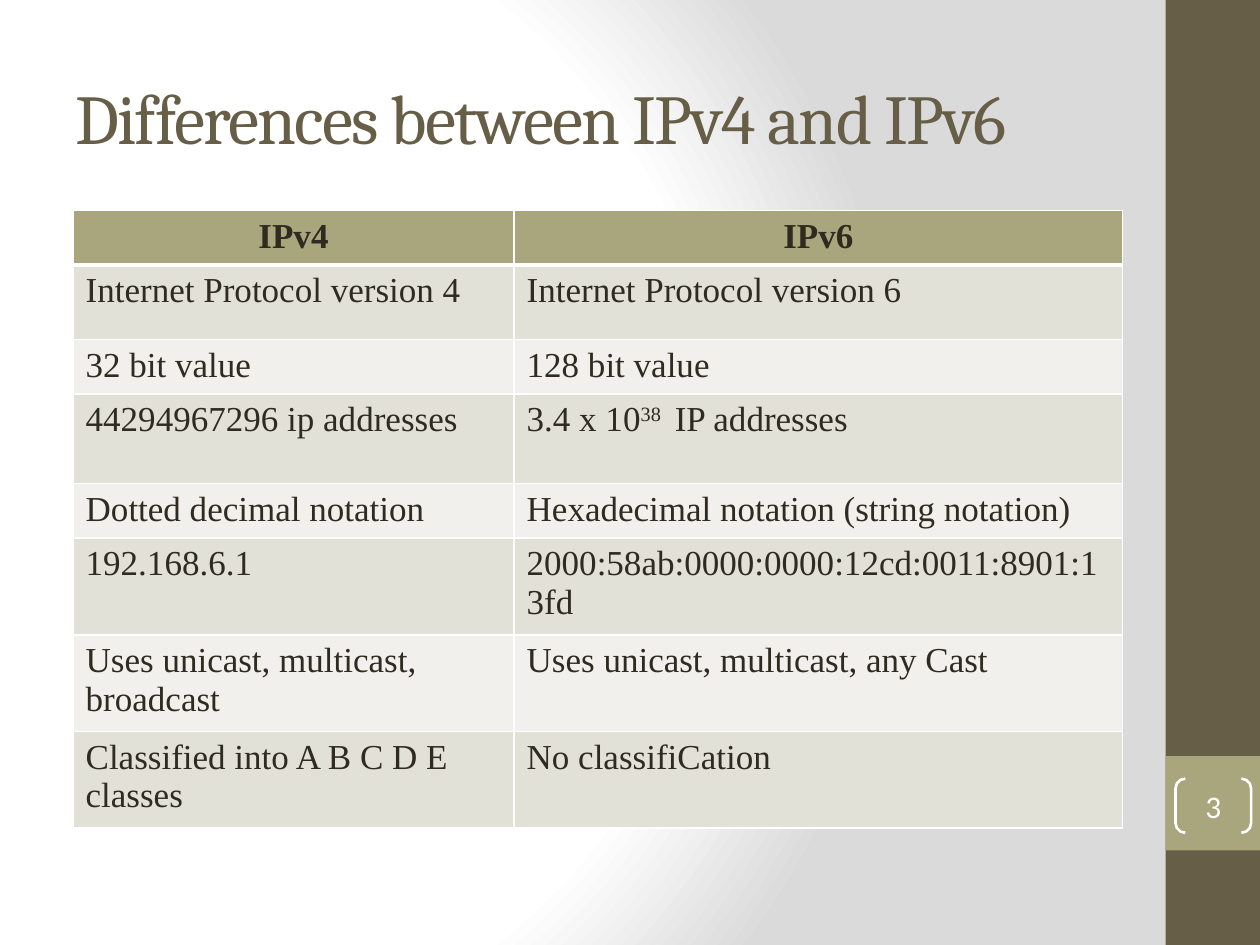
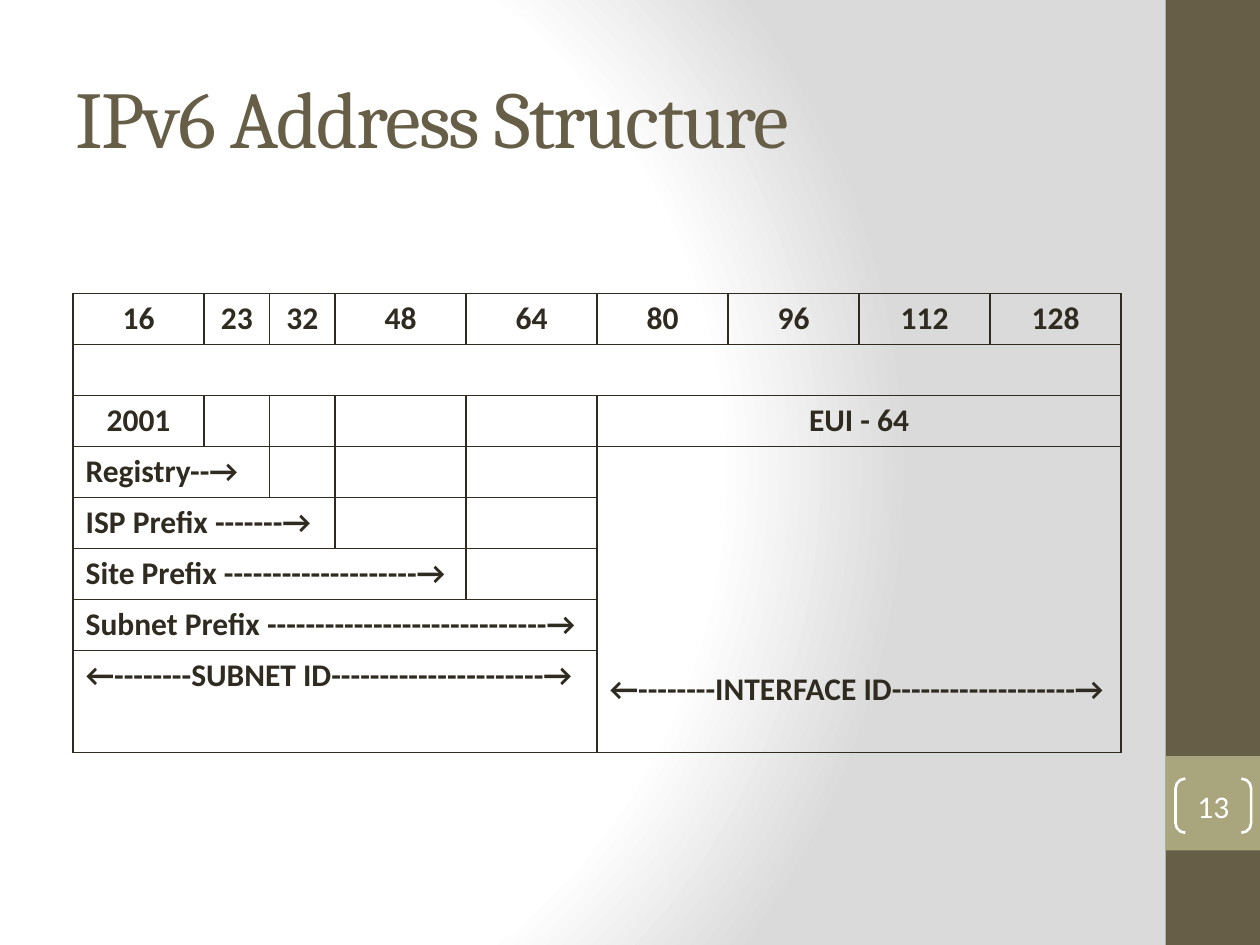
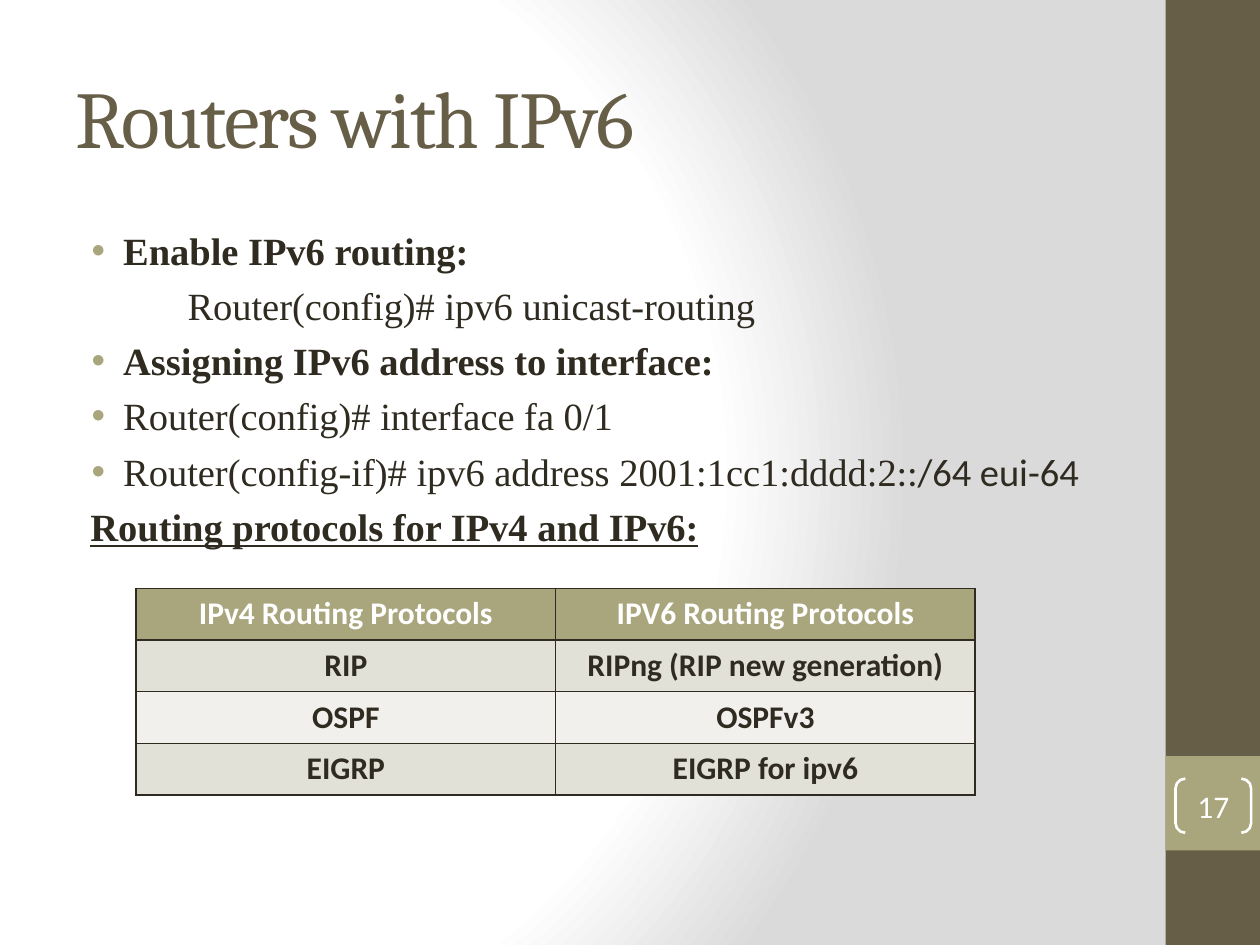
from lxml import etree
from pptx import Presentation
from pptx.dml.color import RGBColor
from pptx.enum import shapes, text
from pptx.oxml import parse_xml
from pptx.oxml.ns import nsdecls, qn
from pptx.util import Inches, Pt

WHITE = RGBColor(0xFF, 0xFF, 0xFF)
GREY = RGBColor(0xDA, 0xDA, 0xDA)
BROWN = RGBColor(0x67, 0x5E, 0x47)
OLIVE = RGBColor(0xA9, 0xA5, 0x7C)
INK = RGBColor(0x2F, 0x2B, 0x20)
BAND = RGBColor(0xE2, 0xE1, 0xD7)
PALE = RGBColor(0xF1, 0xF0, 0xEC)
SERIF = "Times New Roman"
SANS = "Calibri"
CENTER = text.PP_ALIGN.CENTER
MIDDLE = text.MSO_ANCHOR.MIDDLE


def write(paragraph, words, size=18, font=SANS, color=INK, bold=False,
          underline=False, align=None, **attributes):
    run = paragraph.add_run()
    run.text = words
    run.font.size = Pt(size)
    run.font.name = font
    run.font.color.rgb = color
    run.font.bold = bold
    if underline:
        run.font.underline = True
    if align is not None:
        paragraph.alignment = align
    for key, value in attributes.items():
        run.font._element.set(key, str(value))


def paint(cell, fill, border, top=1, bottom=1):
    if fill is None:
        cell.fill.background()
    else:
        cell.fill.solid()
        cell.fill.fore_color.rgb = fill
    sides = [("lnL", 1), ("lnR", 1), ("lnT", top), ("lnB", bottom)]
    for place, (side, width) in enumerate(sides):
        edge = parse_xml(
            f'<a:{side} {nsdecls("a")} w="{Pt(width)}"><a:solidFill>'
            f'<a:srgbClr val="{border}"/></a:solidFill></a:{side}>')
        cell._tc.get_or_add_tcPr().insert(place, edge)


deck = Presentation()
deck.slide_width = Inches(10)
deck.slide_height = Inches(7.5)

master = deck.slide_master
master.background.fill.gradient()
plain = master.element.xpath(".//p:bg//a:gradFill")[0]
stops = "".join(
    f'<a:gs pos="{place * 1000}"><a:srgbClr val="{color}"/></a:gs>'
    for place, color in [(0, WHITE), (75, WHITE), (100, GREY)])
glow = parse_xml(
    f'<a:gradFill {nsdecls("a")} rotWithShape="1"><a:gsLst>{stops}</a:gsLst>'
    '<a:path path="circle"><a:fillToRect l="20000" t="50000" r="100000" b="50000"/>'
    '</a:path></a:gradFill>')
plain.getparent().replace(plain, glow)

pages = []
for heading, heading_size, number in [
    ("Differences between IPv4 and IPv6", 40, "3"),
    ("IPv6 Address Structure", 46, "13"),
    ("Routers with IPv6", 46, "17"),
]:
    page = deck.slides.add_slide(deck.slide_layouts[6])
    pages.append(page)
    for top, height, color in [(0, 7.5, BROWN), (6, 0.75, OLIVE)]:
        band = page.shapes.add_shape(
            shapes.MSO_SHAPE.RECTANGLE, Inches(9.25), Inches(top), Inches(0.75), Inches(height))
        band.shadow.inherit = False
        band.fill.solid()
        band.fill.fore_color.rgb = color
        band.line.fill.background()

    title = page.shapes.add_textbox(Inches(0.5), Inches(0.3), Inches(8.33), Inches(1.25)).text_frame
    title.word_wrap = True
    title.vertical_anchor = MIDDLE
    write(title.paragraphs[0], heading, size=heading_size, font="Cambria", color=BROWN, spc=-100)

    bracket = page.shapes.add_shape(
        shapes.MSO_SHAPE.DOUBLE_BRACKET, Inches(9.33), Inches(6.18), Inches(0.6), Inches(0.43))
    bracket.adjustments[0] = 0.18
    bracket.shadow.inherit = False
    bracket.fill.background()
    bracket.line.color.rgb = WHITE
    bracket.line.width = Pt(1.5)
    counter = bracket.text_frame
    counter.margin_left = counter.margin_right = counter.margin_top = counter.margin_bottom = 0
    counter.vertical_anchor = MIDDLE
    write(counter.paragraphs[0], number, color=WHITE, align=CENTER)

differences, structure, routers = pages

comparison = [
    ("IPv4", "IPv6", 0.41),
    ("Internet Protocol version 4", "Internet Protocol version 6", 0.59),
    ("32 bit value", "128 bit value", 0.41),
    ("44294967296 ip addresses", "3.4 x 10^38 ^ IP addresses", 0.71),
    ("Dotted decimal notation", "Hexadecimal notation (string notation)", 0.41),
    ("192.168.6.1", "2000:58ab:0000:0000:12cd:0011:8901:13fd", 0.72),
    ("Uses unicast, multicast, broadcast", "Uses unicast, multicast, any Cast", 0.72),
    ("Classified into A B C D E classes", "No classifiCation", 0.71),
]
protocols = [
    ("IPv4 Routing Protocols", "IPV6 Routing Protocols", 0.41),
    ("RIP", "RIPng (RIP new generation)", 0.41),
    ("OSPF", "OSPFv3", 0.41),
    ("EIGRP", "EIGRP for ipv6", 0.41),
]
for page, rows, left, top, widths, border, head_color, style in [
    (differences, comparison, 0.58, 1.67, (3.5, 4.83), WHITE, INK, dict(size=20, font=SERIF)),
    (routers, protocols, 1.08, 4.67, (3.33, 3.33), INK, WHITE, dict(bold=True, align=CENTER)),
]:
    grid = page.shapes.add_table(
        len(rows), 2, Inches(left), Inches(top), Inches(sum(widths)),
        Inches(sum(row[2] for row in rows))).table
    grid.horz_banding = False
    for column, width in zip(grid.columns, widths):
        column.width = Inches(width)
    heavy = 3 if page is differences else 1
    for r, (*words, height) in enumerate(rows):
        grid.rows[r].height = Inches(height)
        fill = OLIVE if r == 0 else (PALE, BAND)[r % 2]
        look = dict(style, color=head_color, bold=True, align=CENTER) if r == 0 else style
        for c, phrase in enumerate(words):
            cell = grid.cell(r, c)
            paint(cell, fill, border, top=heavy if r == 1 else 1, bottom=heavy if r == 0 else 1)
            for part, piece in enumerate(phrase.split("^")):
                raised = dict(baseline=30000) if part == 1 else {}
                write(cell.text_frame.paragraphs[0], piece, **look, **raised)

bit_widths = [1.04, 0.52, 0.52] + [1.04] * 6
bit_heights = [0.405] * 7 + [0.81]
layout = structure.shapes.add_table(
    8, 9, Inches(0.58), Inches(2.33), Inches(sum(bit_widths)), Inches(sum(bit_heights))).table
layout.horz_banding = False
for column, width in zip(layout.columns, bit_widths):
    column.width = Inches(width)
for row, height in zip(layout.rows, bit_heights):
    row.height = Inches(height)
for cell in layout.iter_cells():
    paint(cell, None, INK)
for c, bits in enumerate([16, 23, 32, 48, 64, 80, 96, 112, 128]):
    write(layout.cell(0, c).text_frame.paragraphs[0], str(bits), bold=True, align=CENTER)
for r, c, row_span, column_span, words, align in [
    (1, 0, 1, 9, "", None),
    (2, 0, 1, 1, "2001", CENTER),
    (2, 5, 1, 4, "EUI - 64", CENTER),
    (3, 0, 1, 2, "Registry--→", None),
    (3, 5, 5, 4, "←--------INTERFACE ID-------------------→", None),
    (4, 0, 1, 3, "ISP Prefix -------→", None),
    (5, 0, 1, 4, "Site Prefix --------------------→", None),
    (6, 0, 1, 5, "Subnet Prefix -----------------------------→", None),
    (7, 0, 1, 5, "←--------SUBNET ID----------------------→", None),
]:
    cell = layout.cell(r, c)
    if row_span * column_span > 1:
        cell.merge(layout.cell(r + row_span - 1, c + column_span - 1))
    if words:
        write(cell.text_frame.paragraphs[0], words, bold=True, align=align)
interface = layout.cell(3, 5)
interface.vertical_anchor = text.MSO_ANCHOR.BOTTOM
interface.margin_bottom = Inches(0.35)

steps = routers.shapes.add_textbox(Inches(0.5), Inches(1.75), Inches(8.33), Inches(5.25)).text_frame
steps.word_wrap = True
for i, (indent, bulleted, pieces) in enumerate([
    (0.38, True, [("Enable IPv6 routing:", dict(bold=True))]),
    (0.89, False, [("Router(config)# ipv6 unicast-routing", {})]),
    (0.38, True, [("Assigning IPv6 address to interface:", dict(bold=True))]),
    (0.38, True, [("Router(config)# interface fa 0/1", {})]),
    (0.38, True, [("Router(config-if)# ipv6 address 2001:1cc1:dddd:2", {}),
                  ("::/64 eui-64", dict(font=SANS))]),
    (0.12, False, [("Routing protocols for IPv4 and IPv6:", dict(bold=True, underline=True))]),
]):
    step = steps.paragraphs[0] if i == 0 else steps.add_paragraph()
    step.space_before = Pt(5.2)
    for words, look in pieces:
        write(step, words, **dict(dict(size=22, font=SERIF), **look))
    rules = step._p.get_or_add_pPr()
    rules.set("marL", str(Inches(indent)))
    rules.set("indent", str(Inches(-0.25 if bulleted else 0)))
    if bulleted:
        tint = etree.SubElement(rules, qn("a:buClr"))
        etree.SubElement(tint, qn("a:srgbClr")).set("val", str(OLIVE))
        etree.SubElement(rules, qn("a:buFont")).set("typeface", "Arial")
        etree.SubElement(rules, qn("a:buChar")).set("char", "•")

deck.save("out.pptx")
